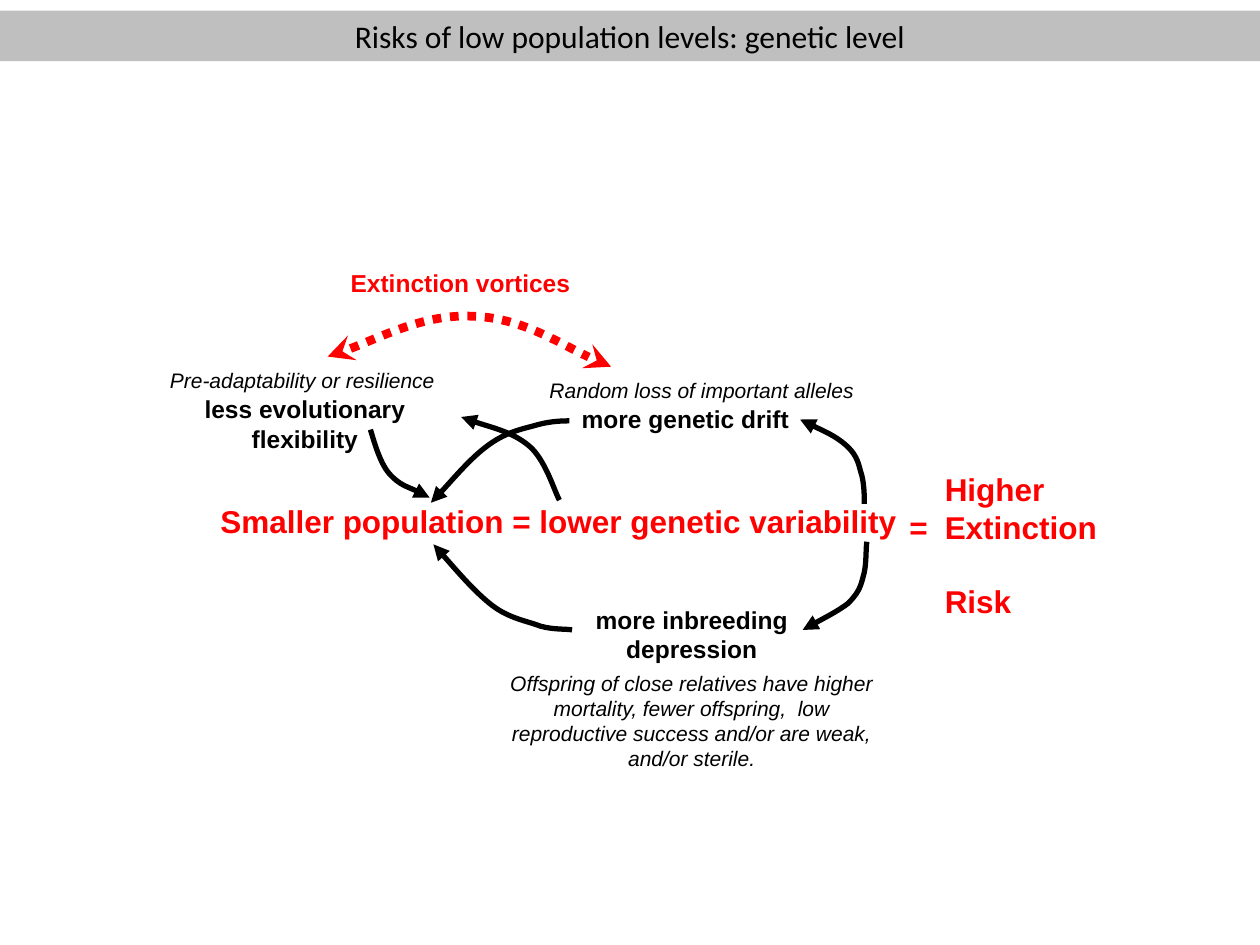
from dataclasses import dataclass
from lxml import etree
from pptx import Presentation
from pptx.dml.color import RGBColor
from pptx.enum.dml import MSO_LINE
from pptx.enum.text import MSO_ANCHOR, MSO_AUTO_SIZE, PP_ALIGN
from pptx.oxml.ns import qn
from pptx.util import Inches, Pt

CENTER, LEFT = PP_ALIGN.CENTER, PP_ALIGN.LEFT
NO_FIT, MIDDLE = MSO_AUTO_SIZE.NONE, MSO_ANCHOR.MIDDLE
DOTTED = MSO_LINE.ROUND_DOT
COLS, ROWS = 100, 75


@dataclass(frozen=True)
class Theme:
    black: RGBColor = RGBColor(0, 0, 0)
    red: RGBColor = RGBColor(255, 0, 0)
    band: RGBColor = RGBColor(0xBF, 0xBF, 0xBF)
    title_font: str = "Calibri"
    font: str = "Arial"
    large: int = 18
    medium: int = 14
    small: int = 12
    arrow: int = 3
    arc: int = 5


THEME = Theme()
prs = Presentation()
prs.slide_width, prs.slide_height = Inches(10), Inches(7.5)
UNIT_X, UNIT_Y = prs.slide_width / COLS, prs.slide_height / ROWS


def place(origin, point):
    """Turn an offset in grid units from a region's origin into EMU."""
    return (round((origin[0] + point[0]) * UNIT_X),
            round((origin[1] + point[1]) * UNIT_Y))


def add_run(p, text, size, color, font=THEME.font, bold=False, italic=False):
    r = p.add_run()
    r.text = text
    r.font.name, r.font.size = font, Pt(size)
    r.font.bold, r.font.italic = bold, italic
    r.font.color.rgb = color


def add_text(slide, origin, box, lines, size, color=THEME.black, align=CENTER,
             wrap=False, bold=True, italic=False):
    left, top = place(origin, box[:2])
    width, height = place((0, 0), box[2:])
    tf = slide.shapes.add_textbox(left, top, width, height).text_frame
    tf.word_wrap = wrap
    for i, line in enumerate(lines):
        p = tf.paragraphs[0] if i == 0 else tf.add_paragraph()
        p.alignment = align
        add_run(p, line, size, color, bold=bold, italic=italic)
    return tf


def add_label(slide, origin, box, *lines, **style):
    """Add a centred label that may use the full width of its box."""
    tf = add_text(slide, origin, box, lines, THEME.medium, **style)
    tf.margin_left = tf.margin_right = 0


def add_caption(slide, origin, box, text):
    add_text(slide, origin, box, [text], THEME.small, wrap=True,
             bold=False, italic=True)


def add_curve(slide, origin, points, color=THEME.black, width=THEME.arrow,
              dash=None, head=None, tail="triangle"):
    """Draw a Bezier arrow: a start, then three points for each segment."""
    pts = [place(origin, pt) for pt in points]
    fb = slide.shapes.build_freeform(*pts[0])
    fb.add_line_segments(pts[1:], close=False)
    sp = fb.convert_to_shape()
    sp.shadow.inherit = False
    sp.fill.background()
    sp.line.color.rgb, sp.line.width = color, Pt(width)
    if dash:
        sp.line.dash_style = dash
    # Join each three straight segments into one cubic segment
    outline = next(sp.element.iter(qn("a:path")))
    segments = outline.findall(qn("a:lnTo"))
    for i in range(0, len(segments), 3):
        cubic = etree.SubElement(outline, qn("a:cubicBezTo"))
        for segment in segments[i:i + 3]:
            cubic.append(segment[0])
            outline.remove(segment)
    # Arrowheads
    ln = sp.line._get_or_add_ln()
    for tag, kind in (("a:headEnd", head), ("a:tailEnd", tail)):
        if kind:
            etree.SubElement(ln, qn(tag), type=kind)


def title_band(slide, origin):
    sp = slide.shapes.title
    sp.left, sp.top = place(origin, (0, 0))
    sp.width, sp.height = place((0, 0), (COLS, 4))
    sp.fill.solid()
    sp.fill.fore_color.rgb = THEME.band
    tf = sp.text_frame
    tf.auto_size, tf.vertical_anchor = NO_FIT, MIDDLE
    p = tf.paragraphs[0]
    p.alignment = CENTER
    add_run(p, "Risks of low population levels: genetic level",
            THEME.large, THEME.black, THEME.title_font)


def statement(slide, origin):
    add_text(slide, origin, (0, 0, 56.2, 4),
             ["Smaller population = lower genetic variability"],
             THEME.large, THEME.red, LEFT)


def consequence(slide, origin):
    tf = add_text(slide, origin, (0, 0, 18.3, 10),
                  ["Higher", "=\tExtinction", "Risk"],
                  THEME.large, THEME.red, LEFT, wrap=True)
    indent = Inches(0.28)
    for p in tf.paragraphs:
        pPr = p._p.get_or_add_pPr()
        pPr.set("marL", str(indent))
        pPr.set("indent", str(-indent if "\t" in p.text else 0))
    tf.paragraphs[-1].space_before = Pt(21)


def drift_loop(slide, origin):
    add_caption(slide, origin, (6.2, 0.5, 31, 3),
                "Random loss of important alleles")
    add_label(slide, origin, (11.2, 2.6, 18.4, 3.3), "more genetic drift")
    add_curve(slide, origin, [
        (34.6, 11), (34.6, 10.5), (34.6, 9.2), (34.3, 8.4), (34.1, 7.6),
        (33.9, 7), (33.1, 6.3), (32.3, 5.6), (30.3, 4.7), (29.5, 4.3)])
    add_curve(slide, origin, [
        (11.2, 4.4), (10.8, 4.4), (9.8, 4.4), (8.7, 4.7), (7.7, 5),
        (6.3, 5.2), (4.8, 6.3), (3.4, 7.3), (1.2, 9.9), (0.2, 10.9)])


def inbreeding_loop(slide, origin):
    add_label(slide, origin, (12.3, 4.5, 17.2, 5.7),
              "more inbreeding", "depression")
    add_caption(slide, origin, (5.4, 9.7, 31, 9),
                "Offspring of close relatives have higher mortality, fewer "
                "offspring,  low reproductive success and/or are weak, "
                "and/or sterile.")
    add_curve(slide, origin, [
        (34.8, 0), (34.7, 0.5), (34.8, 1.9), (34.5, 2.8), (34.3, 3.6),
        (34.1, 4.1), (33.3, 4.9), (32.5, 5.5), (30.4, 6.6), (29.7, 7)])
    add_curve(slide, origin, [
        (11.4, 7), (11, 6.9), (10, 7), (8.9, 6.7), (7.9, 6.3),
        (6.4, 6.1), (5, 5), (3.6, 3.9), (1.3, 1.2), (0.4, 0.2)])


def flexibility_loop(slide, origin):
    add_caption(slide, origin, (0.5, 0.7, 31, 3),
                "Pre-adaptability or resilience")
    add_label(slide, origin, (4.7, 2.8, 23, 5.7),
              "less evolutionary flexibility", wrap=True)
    add_curve(slide, origin, [
        (36.4, 11.7), (36, 11), (35.3, 8.5), (34, 7.4),
        (32.7, 6.3), (29.8, 5.6), (28.6, 5.1)])
    add_curve(slide, origin, [
        (21.4, 6.1), (21.6, 6.7), (22.1, 8.7), (22.9, 9.6),
        (23.7, 10.5), (25.5, 11.1), (26.1, 11.5)])


def vortex_arc(slide, origin):
    add_label(slide, origin, (0.7, 0.8, 21.7, 3.4), "Extinction vortices",
              color=THEME.red)
    add_curve(slide, origin, [
        (1, 8.3), (2.9, 7.8), (8.8, 4.9), (12.5, 5.1),
        (16.3, 5.2), (21.2, 8.3), (23.5, 9.1)],
        THEME.red, THEME.arc, DOTTED, "stealth", "stealth")


def main():
    slide = prs.slides.add_slide(prs.slide_layouts[5])
    title_band(slide, (0, 0.85))
    statement(slide, (16.5, 39.35))
    consequence(slide, (71.2, 36.8))
    drift_loop(slide, (34, 29))
    inbreeding_loop(slide, (34, 43))
    flexibility_loop(slide, (8, 28))
    vortex_arc(slide, (25, 20))
    prs.save("out.pptx")


if __name__ == "__main__":
    main()
